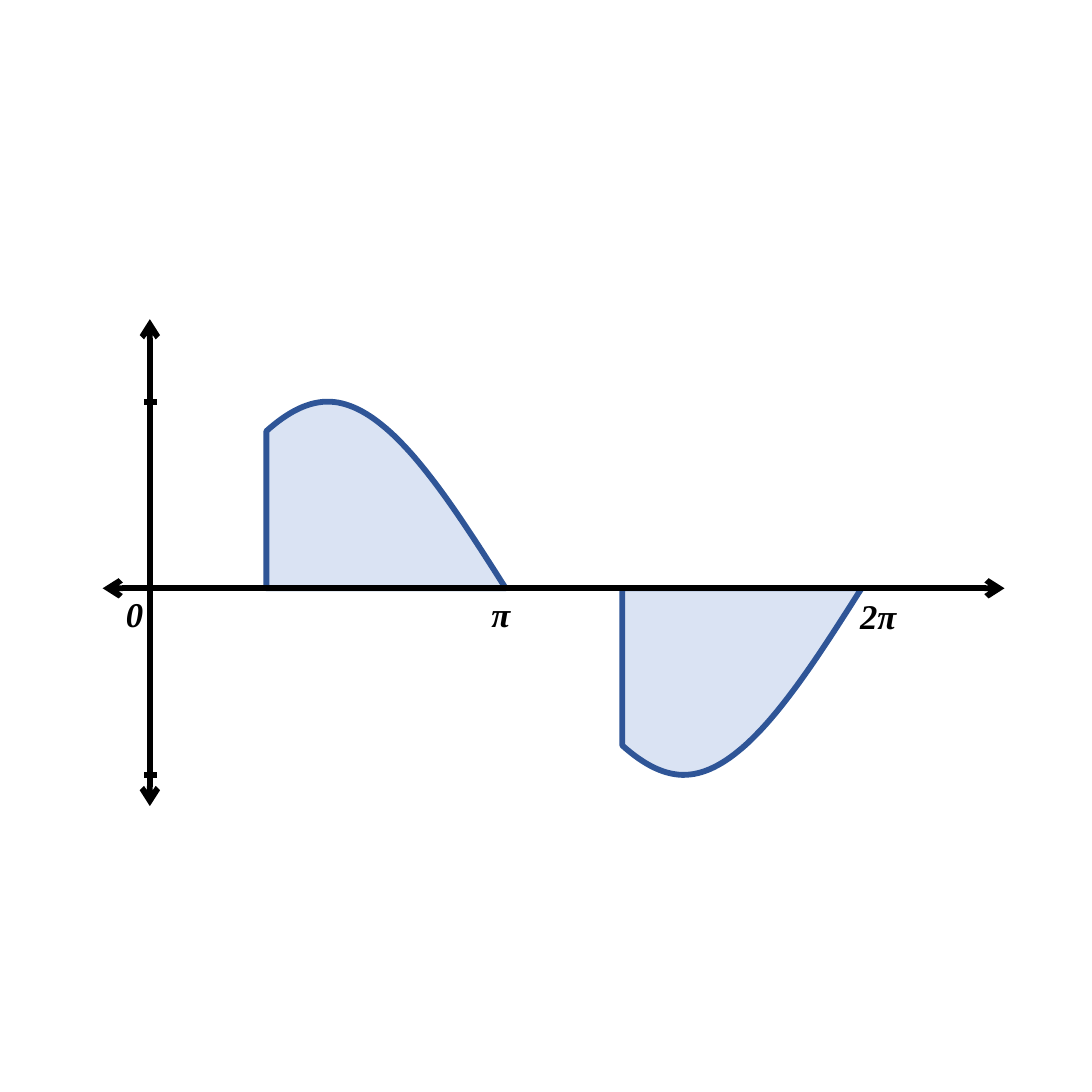
"""Draw a phase-cut sine wave: each half-wave starts late and ends at π or 2π."""
from lxml.etree import SubElement
from pptx import Presentation
from pptx.dml.color import RGBColor
from pptx.enum.shapes import MSO_CONNECTOR
from pptx.enum.text import MSO_AUTO_SIZE, PP_ALIGN
from pptx.oxml.ns import qn
from pptx.util import Inches, Pt

BLACK = RGBColor(0x00, 0x00, 0x00)
WAVE_BLUE = RGBColor(0x2F, 0x55, 0x97)
WAVE_FILL = RGBColor(0xDA, 0xE3, 0xF3)
SIDE = 7.87
ORIGIN_X, ORIGIN_Y = 1.08, 4.24
HALF_PERIOD = 2.565
QUARTER = HALF_PERIOD / 2
AMPLITUDE = 1.345
CUT = 0.84
STEPS = 60

deck = Presentation()
deck.slide_width = deck.slide_height = Inches(SIDE)
slide = deck.slides.add_slide(deck.slide_layouts[6])


def add_line(x1, y1, x2, y2, arrows=False):
    line = slide.shapes.add_connector(
        MSO_CONNECTOR.STRAIGHT, Inches(x1), Inches(y1), Inches(x2), Inches(y2))
    line.line.color.rgb = BLACK
    line.line.width = Pt(3)
    if arrows:
        outline = line.line._get_or_add_ln()
        for end in ("a:headEnd", "a:tailEnd"):
            SubElement(outline, qn(end), type="arrow")
    SubElement(line._element.spPr, qn("a:effectLst"))


add_line(ORIGIN_X, 5.81, ORIGIN_X, 2.3, arrows=True)

for half, sign in enumerate((-1, 1)):
    start_x = ORIGIN_X + half * HALF_PERIOD
    curve = []
    for step in range(STEPS + 1):
        phase = CUT + (HALF_PERIOD - CUT) * step / STEPS
        u = abs(phase - QUARTER) / QUARTER
        height = 1 - 1.5 * u ** 2 + 0.5 * u ** 3
        curve.append((Inches(start_x + phase),
                      Inches(ORIGIN_Y + sign * AMPLITUDE * height)))
    builder = slide.shapes.build_freeform(Inches(start_x + CUT), Inches(ORIGIN_Y))
    builder.add_line_segments(curve, close=True)
    wave = builder.convert_to_shape()
    wave.shadow.inherit = False
    wave.fill.solid()
    wave.fill.fore_color.rgb = WAVE_FILL
    wave.line.color.rgb = WAVE_BLUE
    wave.line.width = Pt(3)

add_line(7.24, ORIGIN_Y, 0.74, ORIGIN_Y, arrows=True)

for label, left, top in (("2π", 6.06, 4.24), ("π", 3.34, 4.22), ("0", 0.7, 4.22)):
    angle = slide.shapes.add_textbox(
        Inches(left), Inches(top), Inches(0.54), Inches(0.4)).text_frame
    angle.word_wrap = True
    angle.auto_size = MSO_AUTO_SIZE.SHAPE_TO_FIT_TEXT
    paragraph = angle.paragraphs[0]
    paragraph.alignment = PP_ALIGN.CENTER
    run = paragraph.add_run()
    run.text = label
    run.font.name = "Times New Roman"
    run.font.size = Pt(18)
    run.font.bold = run.font.italic = True
    run.font.color.rgb = BLACK

for tick_y in (ORIGIN_Y - AMPLITUDE, ORIGIN_Y + AMPLITUDE):
    add_line(ORIGIN_X - 0.04, tick_y, ORIGIN_X + 0.05, tick_y)

deck.save("out.pptx")
